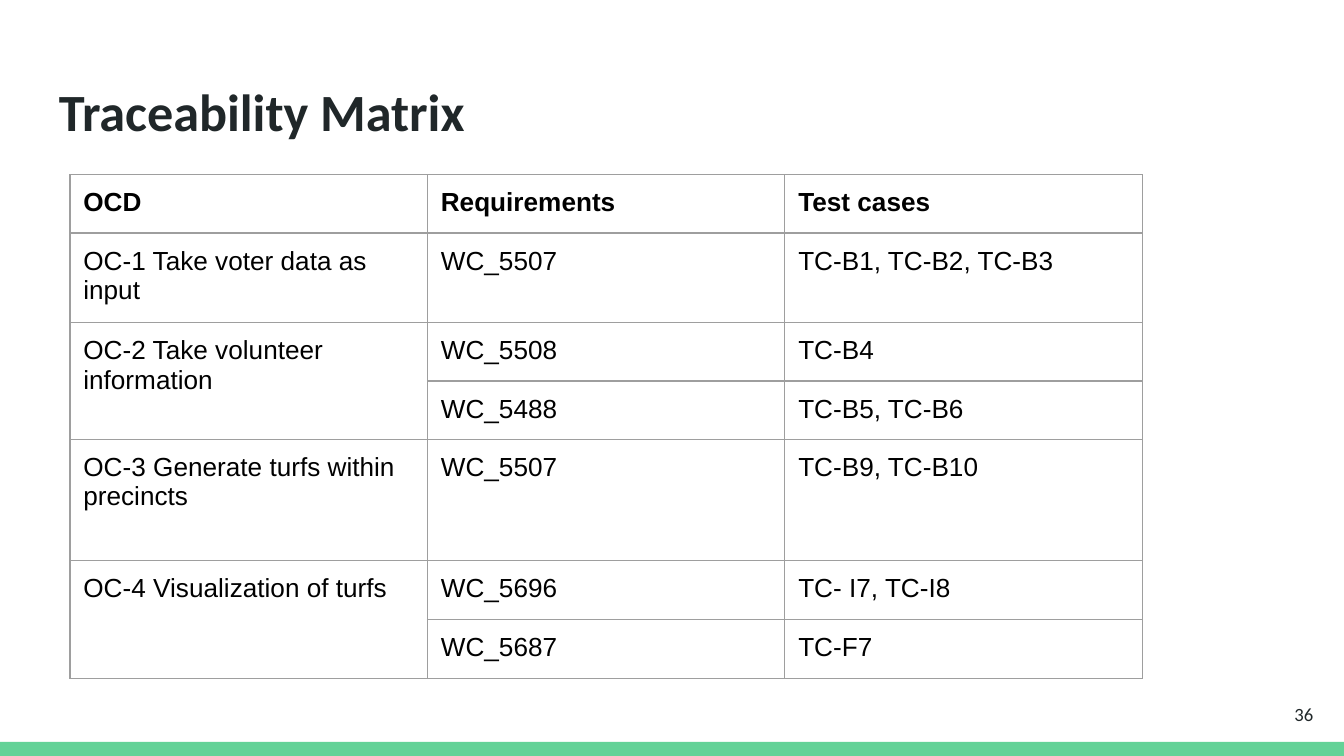
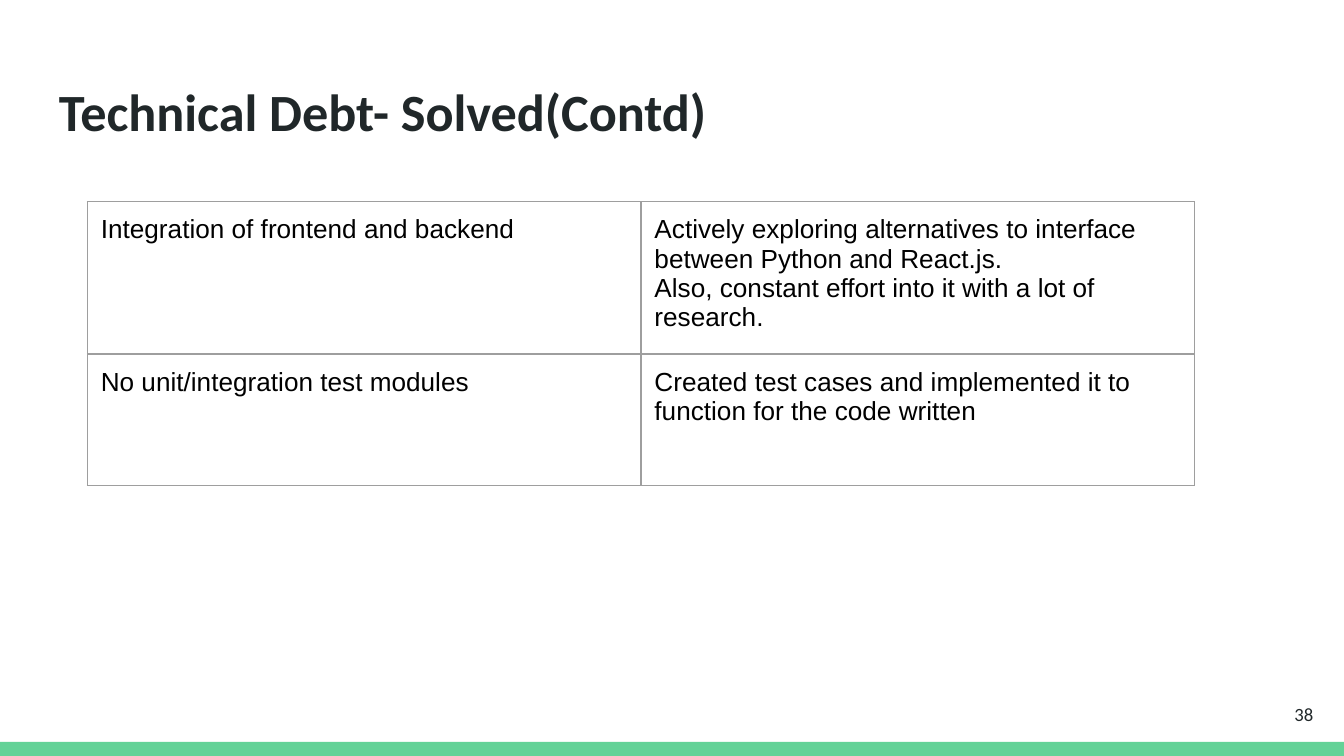
from lxml.etree import SubElement
from pptx import Presentation
from pptx.dml.color import RGBColor
from pptx.enum.shapes import MSO_SHAPE
from pptx.enum.text import MSO_ANCHOR, PP_ALIGN
from pptx.oxml.ns import qn
from pptx.util import Inches, Pt

COLORS = {
    "background": "FFFFFF",
    "band": "63D297",
    "heading": "202729",
    "table_text": "000000",
    "border": "9E9E9E",
}
HEADING_FONT = "Calibri"
TABLE_FONT = "Arial"
INSET = Inches(0.1)
BORDER_WIDTH = Pt(0.75)
TABLE_FRAME_SIZE = Inches(3.28)

TRACEABILITY_ROWS = [
    ["OCD", "Requirements", "Test cases"],
    ["OC-1 Take voter data as input", "WC_5507", "TC-B1, TC-B2, TC-B3"],
    ["OC-2 Take volunteer information", "WC_5508", "TC-B4"],
    [None, "WC_5488", "TC-B5, TC-B6"],
    ["OC-3 Generate turfs within precincts", "WC_5507", "TC-B9, TC-B10"],
    ["OC-4 Visualization of turfs", "WC_5696", "TC- I7, TC-I8"],
    [None, "WC_5687", "TC-F7"],
]
DEBT_ROWS = [
    [
        "Integration of frontend and backend",
        "Actively exploring alternatives to interface between Python and React.js.\n"
        "Also, constant effort into it with a lot of research.",
    ],
    [
        "No unit/integration test modules",
        "Created test cases and implemented it to function for the code written",
    ],
]


def color(name):
    """Return the named colour."""
    return RGBColor.from_string(COLORS[name])


def set_insets(target):
    """Give a text frame or table cell equal margins."""
    target.margin_left = target.margin_right = INSET
    target.margin_top = target.margin_bottom = INSET


def add_run(paragraph, text, font_name, size, color_name, bold=False):
    """Add one formatted run to a paragraph."""
    run = paragraph.add_run()
    run.text = text
    run.font.name = font_name
    run.font.size = Pt(size)
    run.font.bold = bold
    run.font.color.rgb = color(color_name)


def add_text(slide, text, bounds, size, bold=False,
             anchor=MSO_ANCHOR.TOP, align=PP_ALIGN.LEFT):
    """Add a one-paragraph heading-style text box."""
    shape = slide.shapes.add_textbox(*map(Inches, bounds))
    frame = shape.text_frame
    frame.word_wrap = True
    frame.vertical_anchor = anchor
    set_insets(frame)
    paragraph = frame.paragraphs[0]
    paragraph.alignment = align
    add_run(paragraph, text, HEADING_FONT, size, "heading", bold)


def add_base_slide(presentation, title, number):
    """Add a slide with the bottom band, title and slide number."""
    slide = presentation.slides.add_slide(presentation.slide_layouts[6])
    slide.background.fill.solid()
    slide.background.fill.fore_color.rgb = color("background")
    band = slide.shapes.add_shape(
        MSO_SHAPE.RECTANGLE, Inches(0), Inches(5.52), Inches(10), Inches(0.11))
    band.shadow.inherit = False
    band.fill.solid()
    band.fill.fore_color.rgb = color("band")
    band.line.fill.background()
    add_text(slide, title, (0.34, 0.49, 9.32, 0.63), 28, bold=True)
    add_text(slide, str(number), (9.27, 5.1, 0.6, 0.43), 10,
             anchor=MSO_ANCHOR.MIDDLE, align=PP_ALIGN.RIGHT)
    return slide


def style_cell(cell):
    """Give a cell thin borders, equal margins and no fill."""
    set_insets(cell)
    properties = cell._tc.get_or_add_tcPr()
    for side in ("lnL", "lnR", "lnT", "lnB"):
        line = SubElement(properties, qn(f"a:{side}"), w=str(BORDER_WIDTH))
        fill = SubElement(line, qn("a:solidFill"))
        SubElement(fill, qn("a:srgbClr"), val=COLORS["border"])
    cell.fill.background()


def fill_cell(cell, text, bold):
    """Write each line of the text as a paragraph."""
    frame = cell.text_frame
    for index, line in enumerate(text.split("\n")):
        paragraph = frame.add_paragraph() if index else frame.paragraphs[0]
        add_run(paragraph, line, TABLE_FONT, 14, "table_text", bold)


def add_grid(slide, rows, left, top, column_width, row_heights, header=False):
    """Add a bordered table, merging each None cell into the one above."""
    graphic_frame = slide.shapes.add_table(
        len(rows), len(rows[0]), Inches(left), Inches(top),
        TABLE_FRAME_SIZE, TABLE_FRAME_SIZE)
    table = graphic_frame.table
    table.first_row = header
    table.horz_banding = False
    for column in table.columns:
        column.width = Inches(column_width)
    for row_index, values in enumerate(rows):
        table.rows[row_index].height = Inches(row_heights[row_index])
        for column_index, text in enumerate(values):
            cell = table.cell(row_index, column_index)
            style_cell(cell)
            if text is None:
                table.cell(row_index - 1, column_index).merge(cell)
            else:
                fill_cell(cell, text, header and row_index == 0)
    graphic_frame.width = graphic_frame.height = TABLE_FRAME_SIZE


def main():
    """Build and save both slides."""
    presentation = Presentation()
    presentation.slide_width = Inches(10)
    presentation.slide_height = Inches(10 * 9 / 16)

    slide = add_base_slide(presentation, "Traceability Matrix", 36)
    add_grid(slide, TRACEABILITY_ROWS, 0.52, 1.3, 2.66,
             [0.43, 0.66, 0.43, 0.43, 0.9, 0.44, 0.44], header=True)

    slide = add_base_slide(presentation, "Technical Debt- Solved(Contd)", 38)
    add_grid(slide, DEBT_ROWS, 0.65, 1.5, 4.12, [0.98, 0.98])

    presentation.save("out.pptx")


if __name__ == "__main__":
    main()
